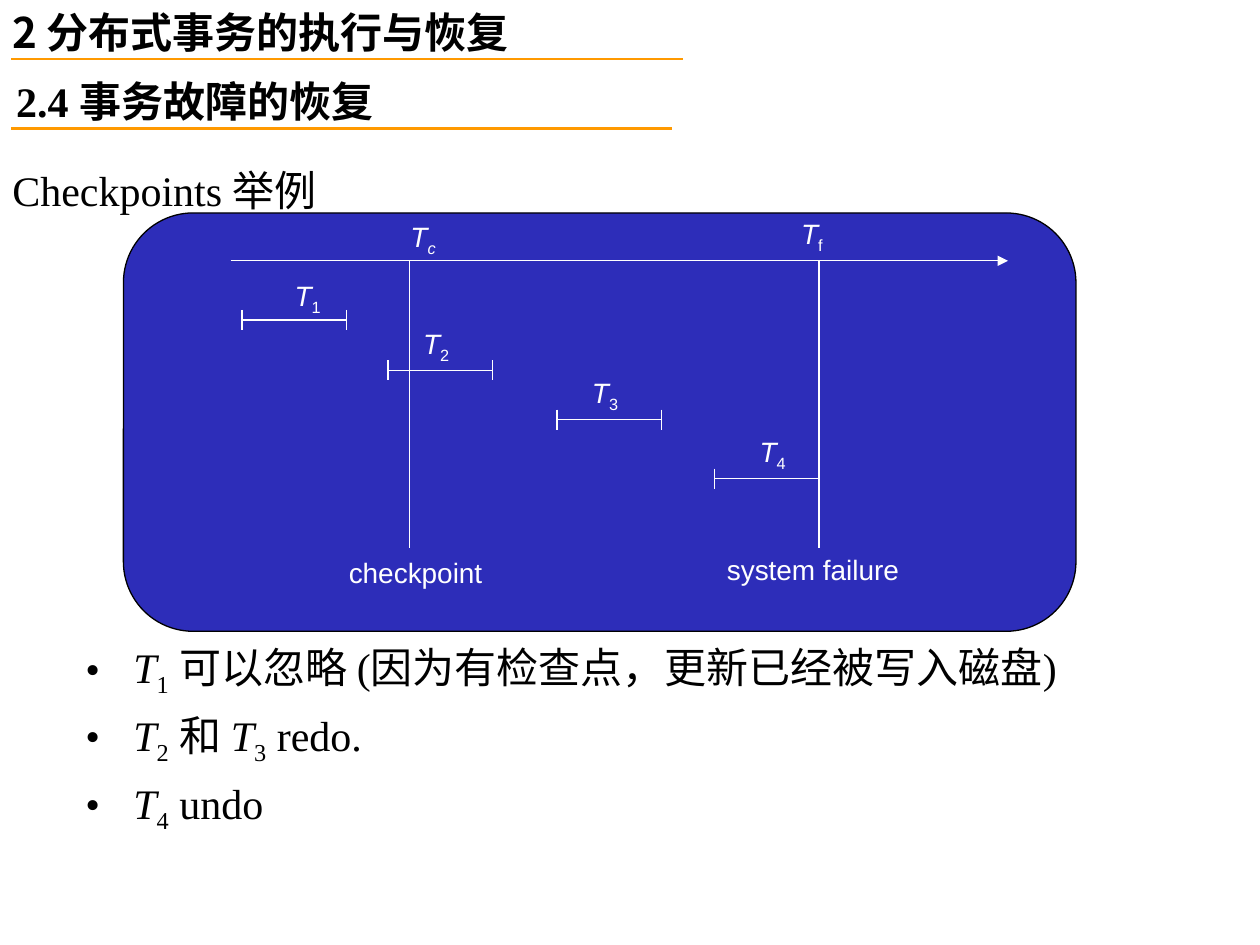
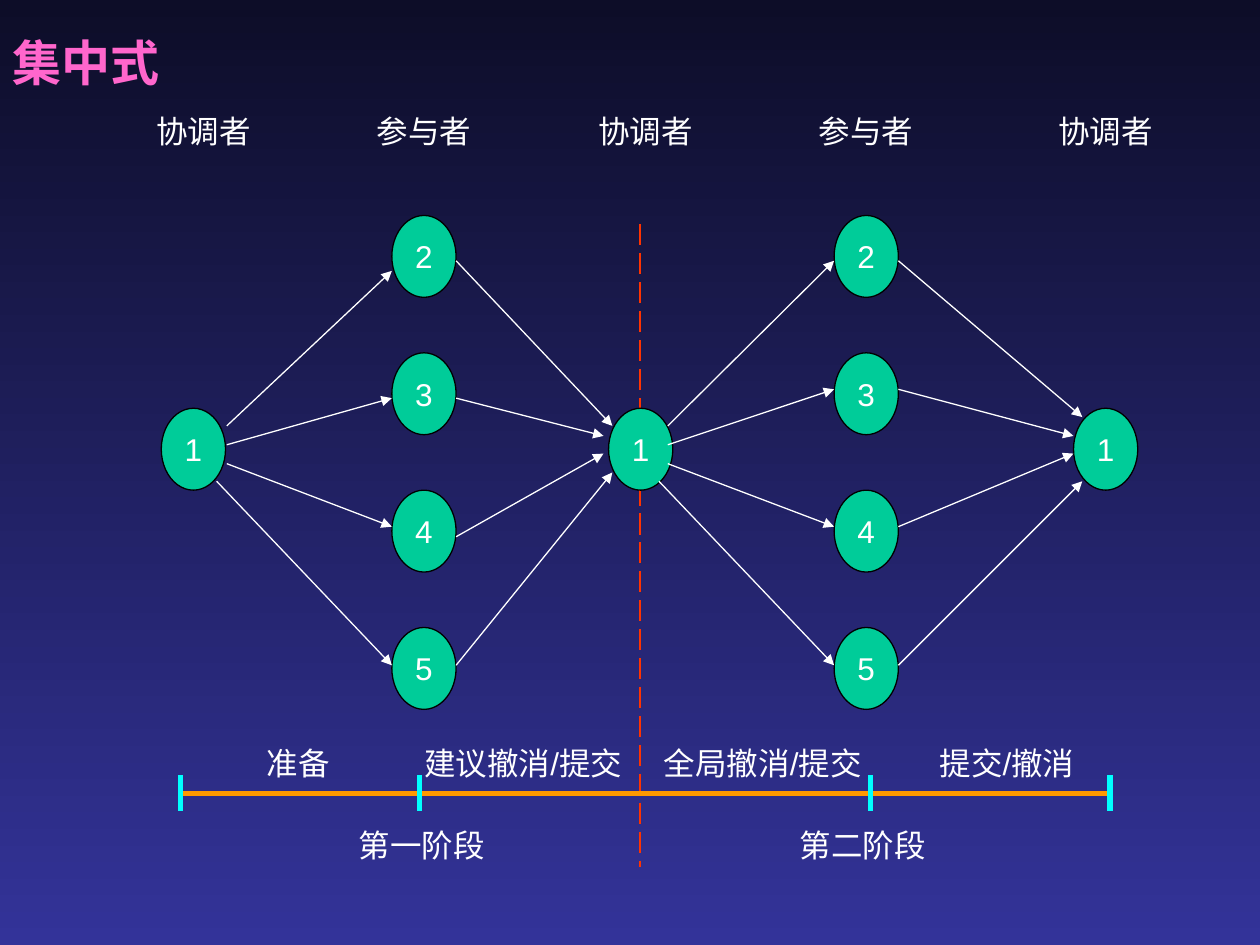
from dataclasses import dataclass
from lxml.etree import SubElement
from pptx import Presentation
from pptx.dml.color import RGBColor
from pptx.enum.dml import MSO_LINE
from pptx.enum.shapes import MSO_CONNECTOR, MSO_SHAPE
from pptx.enum.text import MSO_ANCHOR, MSO_AUTO_SIZE, PP_ALIGN
from pptx.oxml.ns import qn
from pptx.util import Pt

SCALE = 9144


@dataclass(frozen=True)
class Theme:
    """Colours, fonts and type sizes of the deck."""
    black: str = "000000"
    white: str = "FFFFFF"
    orange: str = "FF9900"
    panel: str = "2D2DB9"
    node: str = "00CC99"
    split: str = "FF3300"
    tick: str = "00FFFF"
    pink: str = "FF66CC"
    night: str = "0D0D28"
    dusk: str = "333399"
    serif: str = "Times New Roman"
    sans: str = "Arial"
    han: str = "Noto Sans CJK SC"
    small: int = 16
    label: int = 18
    body: int = 24
    title: int = 28


THEME = Theme()


def px(*sizes):
    """Turn px into EMU."""
    return [size * SCALE for size in sizes]


def tint(text):
    """Make a colour from its hex text."""
    return RGBColor.from_string(text)


def style(font, face, size, color, bold=None):
    """Set the main traits of a font."""
    font.name, font.size, font.bold = face, Pt(size), bold
    font.color.rgb = tint(color)


def add_run(para, text, marks=""):
    """Add a run: i is italic, s is subscript, h is the Han font."""
    run = para.add_run()
    run.text = text
    if "i" in marks:
        run.font.italic = True
    if "h" in marks:
        run.font.name = THEME.han
    if "s" in marks:
        run.font._element.set("baseline", "-25000")


def add_text(slide, box, runs, face, size, color, bold=None, wrap=False):
    """Add a one-paragraph text box and return its frame."""
    frame = slide.shapes.add_textbox(*px(*box)).text_frame
    frame.word_wrap = wrap
    frame.auto_size = MSO_AUTO_SIZE.SHAPE_TO_FIT_TEXT
    para = frame.paragraphs[0]
    style(para.font, face, size, color, bold)
    for run in runs:
        add_run(para, *run)
    return frame


def add_line(slide, start, end, color=THEME.white, width=0.75, arrow=False):
    """Add a straight line, with an arrowhead on request."""
    line = slide.shapes.add_connector(MSO_CONNECTOR.STRAIGHT, *px(*start, *end))
    line.line.color.rgb = tint(color)
    line.line.width = Pt(width)
    SubElement(line._element.spPr, qn("a:effectLst"))
    if arrow:
        SubElement(line.line._get_or_add_ln(), qn("a:tailEnd"), type="triangle")
    return line


def add_form(slide, kind, box, fill):
    """Add a filled preset shape with a thin black outline."""
    form = slide.shapes.add_shape(kind, *px(*box))
    form.shadow.inherit = False
    form.fill.solid()
    form.fill.fore_color.rgb = tint(fill)
    form.line.color.rgb = tint(THEME.black)
    form.line.width = Pt(0.75)
    return form


def heading(slide, box, runs, rule):
    """Draw a numbered heading above a rule given as left, right, drop."""
    x, y, _, _ = box
    left, right, drop = rule
    add_text(slide, box, runs, THEME.serif, THEME.body, THEME.black, True, True)
    add_line(slide, (x + left, y + drop), (x + right, y + drop), THEME.orange, 1.5)


def chart(slide, box):
    """Draw the checkpoint time chart on its panel."""
    x, y, _, _ = box
    add_form(slide, MSO_SHAPE.ROUNDED_RECTANGLE, box, THEME.panel)
    add_line(slide, (x + 85, y + 38), (x + 702, y + 38), arrow=True)
    for mark in (227, 552):
        add_line(slide, (x + mark, y + 38), (x + mark, y + 266))
    bars = [(94, 85, True), (210, 125, True), (344, 164, True), (469, 211, False)]
    for left, top, closed in bars:
        add_line(slide, (x + left, y + top), (x + left + 83, y + top))
        for cap in (left, left + 83) if closed else (left,):
            add_line(slide, (x + cap, y + top - 8), (x + cap, y + top + 8))
    names = [(218, 0, "c", "is"), (528, -2, "f", "s"), (126, 47, "1", "s"),
             (228, 85, "2", "s"), (362, 124, "3", "s"), (495, 171, "4", "s")]
    for left, top, sub, marks in names:
        add_text(slide, (x + left, y + top, 44, 41), [("T", "i"), (sub, marks)],
                 THEME.sans, THEME.small, THEME.white)
    for left, top, width, word in ((169, 267, 130, "checkpoint"),
                                   (469, 265, 162, "system failure")):
        add_text(slide, (x + left, y + top, width, 37), [(word,)],
                 THEME.sans, THEME.small, THEME.white)


def points(slide, box):
    """Draw the bulleted conclusions."""
    rows = [
        [("T", "i"), ("1", "s"), (" 可以忽略 (因为有检查点，更新已经被写入磁盘)",)],
        [("T", "i"), ("2", "s"), (" 和 ",), ("T", "i"), ("3", "s"), (" redo.",)],
        [("T", "i"), ("4", "s"), (" undo",)],
    ]
    frame = slide.shapes.add_textbox(*px(*box)).text_frame
    frame.word_wrap = True
    for index, runs in enumerate(rows):
        para = frame.add_paragraph() if index else frame.paragraphs[0]
        props = para._p.get_or_add_pPr()
        props.set("marL", str(38 * SCALE))
        props.set("indent", str(-38 * SCALE))
        if index:
            para.space_before = Pt(6)
        SubElement(props, qn("a:buFont"), typeface=THEME.serif)
        SubElement(props, qn("a:buChar"), char="•")
        style(para.font, THEME.serif, THEME.body, THEME.black)
        for run in runs:
            add_run(para, *run)


def node(slide, x, y, text):
    """Draw one numbered site."""
    form = add_form(slide, MSO_SHAPE.OVAL, (x, y, 51, 65), THEME.node)
    frame = form.text_frame
    frame.word_wrap = False
    frame.vertical_anchor = MSO_ANCHOR.MIDDLE
    para = frame.paragraphs[0]
    para.alignment = PP_ALIGN.CENTER
    style(para.font, THEME.sans, THEME.label, THEME.white)
    add_run(para, text)


def network(slide, x, y):
    """Draw the hubs, the members and the arrows between them."""
    hubs, teams = (0, 355, 724), (183, 534)
    for left in hubs:
        node(slide, x + left, y + 153, "1")
    for left in teams:
        for row in range(4):
            node(slide, x + left, y + row * 109, str(row + 2))
    fans = [
        ((52, 52, 52, 44), (167, 182, 197, 211), (183,) * 4, (44, 145, 247, 357)),
        ((234,) * 4, (36, 145, 255, 357), (358, 351, 351, 358), (167, 175, 189, 204)),
        ((402, 402, 402, 395), (167, 182, 197, 211), (534,) * 4, (36, 138, 247, 357)),
        ((585,) * 4, (36, 138, 247, 357), (731, 724, 724, 731), (160, 175, 189, 211)),
    ]
    for fan in fans:
        for left, top, end, drop in zip(*fan):
            add_line(slide, (x + left, y + top), (x + end, y + drop), arrow=True)


def labels(slide, y, items):
    """Draw a row of labels given as left, width, text."""
    for left, width, text in items:
        add_text(slide, (left, y, width, 40), [(text,)],
                 THEME.sans, THEME.label, THEME.white)


def axis(slide, x, y):
    """Draw the phase axis with its ticks."""
    add_line(slide, (x, y), (x + 738, y), THEME.orange, 3)
    for tick in (0, 190, 548, 738):
        add_line(slide, (x + tick, y - 15), (x + tick, y + 14), THEME.tick, 3)


def recovery(slide):
    """Build the slide on recovery with checkpoints."""
    heading(slide, (0, 0, 584, 50), [("2 分布式事务的执行与恢复", "h")], (9, 542, 47))
    heading(slide, (3, 55, 584, 50), [("2.4 ",), ("事务故障的恢复", "h")], (6, 530, 47))
    frame = add_text(slide, (0, 123, 850, 55), [("Checkpoints 举例",)],
                     THEME.serif, THEME.body, THEME.black, wrap=True)
    frame.auto_size = MSO_AUTO_SIZE.NONE
    frame.vertical_anchor = MSO_ANCHOR.MIDDLE
    chart(slide, (98, 169, 756, 332))
    points(slide, (58, 504, 900, 162))


def central(slide):
    """Build the slide on the centralised protocol."""
    fill = slide.background.fill
    fill.gradient()
    fill.gradient_angle = 270
    for stop, color in zip(fill.gradient_stops, (THEME.night, THEME.dusk)):
        stop.color.rgb = tint(color)
    split = add_line(slide, (508, 178), (508, 688), THEME.split, 1.5)
    split.line.dash_style = MSO_LINE.LONG_DASH
    axis(slide, 143, 630)
    network(slide, 128, 171)
    roles = ("协调者", "参与者") * 2 + ("协调者",)
    labels(slide, 84, zip((114, 289, 465, 640, 830), (95,) * 5, roles))
    labels(slide, 586, [(202, 70, "准备"), (327, 189, "建议撤消/提交"),
                        (517, 189, "全局撤消/提交"), (736, 139, "提交/撤消")])
    labels(slide, 651, [(275, 120, "第一阶段"), (625, 120, "第二阶段")])
    add_text(slide, (0, 21, 173, 57), [("集中式",)], THEME.sans, THEME.title,
             THEME.pink, True, True)


def main():
    """Build and save the deck."""
    deck = Presentation()
    deck.slide_width, deck.slide_height = px(1000, 750)
    for build in (recovery, central):
        build(deck.slides.add_slide(deck.slide_layouts[6]))
    deck.save("out.pptx")


if __name__ == "__main__":
    main()
